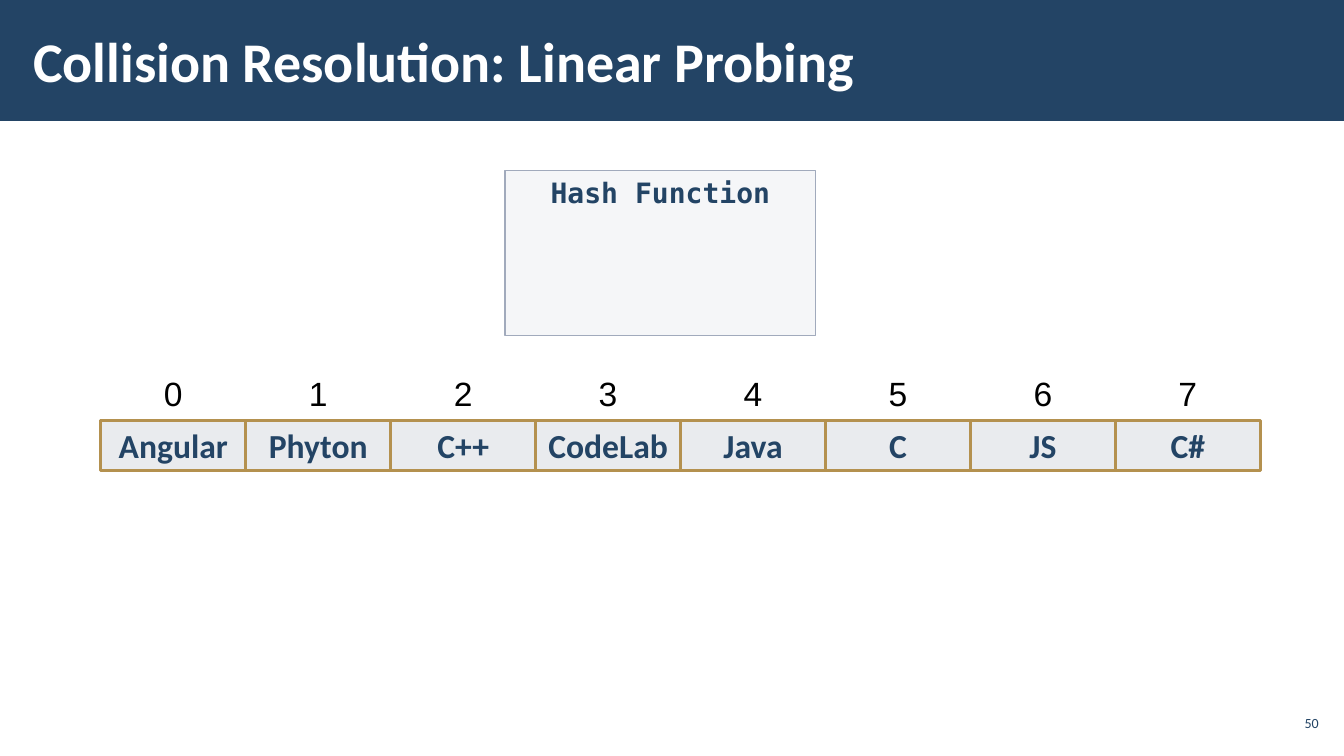
from lxml.etree import SubElement as Sub
from pptx import Presentation
from pptx.dml.color import RGBColor
from pptx.enum.shapes import MSO_SHAPE as Kind
from pptx.enum.text import MSO_ANCHOR as Anchor, PP_ALIGN as Align
from pptx.oxml import parse_xml
from pptx.oxml.ns import nsdecls, qn
from pptx.util import Inches, Pt

NAVY, GOLD, WHITE = "234465", "B4914F", "FFFFFF"
WORDS = ["Angular", "Phyton", "C++", "CodeLab", "Java", "C", "JS", "C#"]
LEFT, TOP, WIDE, ROW = 1, 3.67, 11.5, 0.5
STEP = WIDE / len(WORDS)

HEAD = dict(name="Calibri", size=Pt(40), bold=True, color=WHITE)
HASH = dict(name="DejaVu Sans Mono", size=Pt(20), bold=True, color=NAVY)
PAGE = dict(name="Calibri", size=Pt(10), bold=False, color=NAVY)
INDEX = dict(name="Arial", size=Pt(24), bold=False, color="000000")
WORD = dict(name="Calibri", size=Pt(24), bold=True, color=NAVY)


def tint(color, code):
    color.rgb = RGBColor.from_string(code)


def write(frame, text, look, align):
    para = frame.paragraphs[0]
    para.text = text
    para.alignment = align
    for key, value in look.items():
        if key == "color":
            tint(para.font.color, value)
        else:
            setattr(para.font, key, value)


def label(slide, area, text, look, align, anchor=Anchor.MIDDLE, pad=(0.1, 0.05)):
    box = slide.shapes.add_textbox(*map(Inches, area))
    frame = box.text_frame
    side, edge = map(Inches, pad)
    form = dict(word_wrap=True, vertical_anchor=anchor, margin_left=side,
                margin_right=side, margin_top=edge, margin_bottom=edge)
    for key, value in form.items():
        setattr(frame, key, value)
    write(frame, text, look, align)


def block(slide, kind, area, fill, line=None, width=1, alpha=None):
    shape = slide.shapes.add_shape(kind, *map(Inches, area))
    shape.shadow.inherit = False
    shape.fill.solid()
    tint(shape.fill.fore_color, fill)
    if alpha:
        color = shape.fill._xPr.find(qn("a:solidFill"))[0]
        Sub(color, qn("a:alpha"), val=str(alpha * 1000))
    if line:
        tint(shape.line.color, line)
        shape.line.width = Pt(width)
    else:
        shape.line.fill.background()
    return shape


def border(cell, sides):
    props = cell._tc.get_or_add_tcPr()
    for spot, side in enumerate(sides):
        props.insert(spot, parse_xml(
            f'<a:ln{side} {nsdecls("a")} w="12700"><a:solidFill>'
            f'<a:srgbClr val="{NAVY}"/></a:solidFill></a:ln{side}>'))


def grid(slide):
    area = map(Inches, (LEFT, TOP, WIDE, 2 * ROW))
    table = slide.shapes.add_table(2, len(WORDS), *area).table
    table.first_row = table.horz_banding = False
    for col in range(len(WORDS)):
        table.columns[col].width = Inches(STEP)
        for row, sides in enumerate(["B", "LRTB"]):
            cell = table.cell(row, col)
            cell.fill.background()
            cell.vertical_anchor = Anchor.MIDDLE
            border(cell, sides)
        write(table.cell(0, col).text_frame, str(col), INDEX, Align.CENTER)


def slot(slide, col, text):
    area = (LEFT + col * STEP, TOP + ROW, STEP, ROW)
    shape = block(slide, Kind.FLOWCHART_PROCESS, area, "E9EBEE", GOLD, 2)
    shape.text_frame.vertical_anchor = Anchor.MIDDLE
    write(shape.text_frame, text, WORD, Align.CENTER)


def main():
    deck = Presentation()
    deck.slide_width, deck.slide_height = Inches(13.33), Inches(7.5)
    slide = deck.slides.add_slide(deck.slide_layouts[6])

    # Title band
    block(slide, Kind.RECTANGLE, (0, 0, 13.33, 1.2), NAVY)
    label(slide, (0.21, 0.11, 10.4, 0.97), "Collision Resolution: Linear Probing",
          HEAD, Align.LEFT, pad=(0.12, 0.04))

    # Hash function box
    block(slide, Kind.RECTANGLE, (5.01, 1.69, 3.08, 1.64), "C1C6D1", "A1AABC", alpha=15)
    label(slide, (5.01, 1.69, 3.08, 0.44), "Hash Function", HASH, Align.CENTER, Anchor.TOP)

    # Indexed table with its filled slots
    grid(slide)
    for col, text in enumerate(WORDS):
        slot(slide, col, text)

    # Page number
    label(slide, (12.65, 7, 0.47, 0.34), "50", PAGE, Align.RIGHT, pad=(0.04, 0.04))
    deck.save("out.pptx")


if __name__ == "__main__":
    main()
